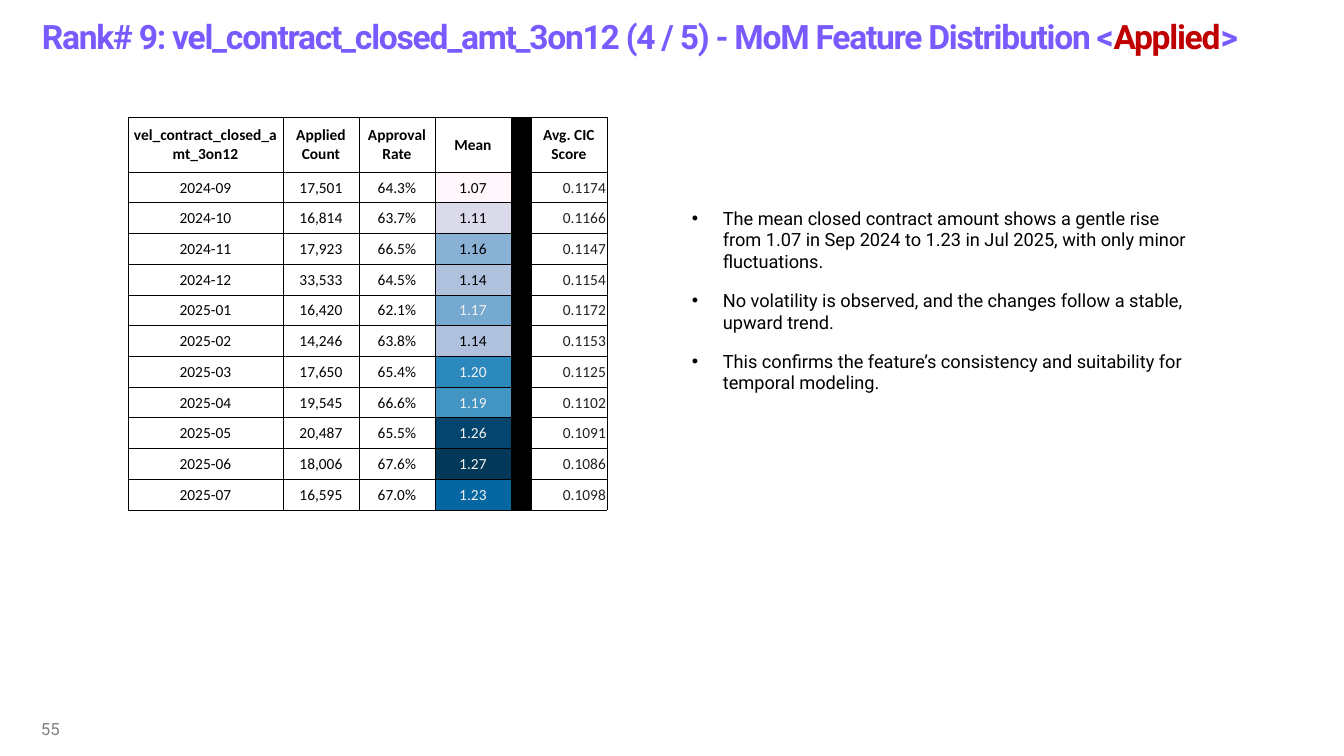
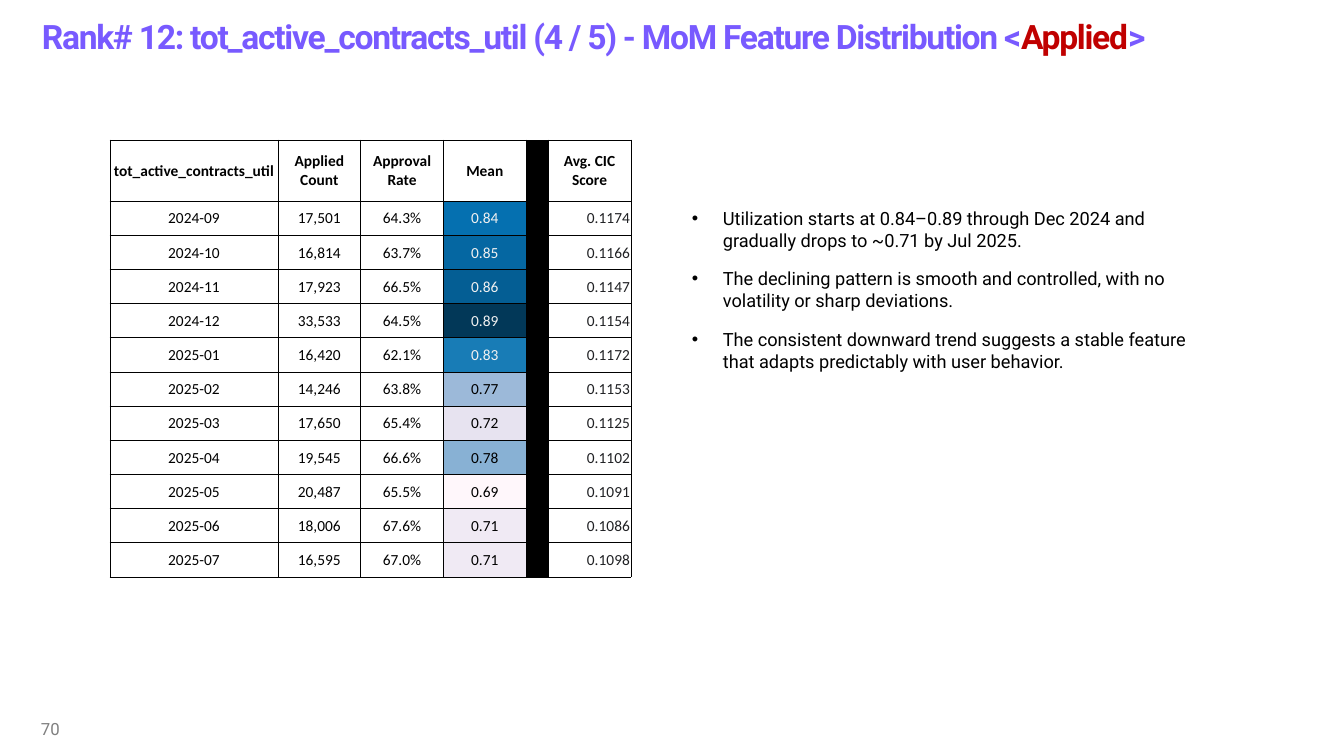
from pptx import Presentation
from pptx.dml.color import RGBColor
from pptx.enum.text import MSO_ANCHOR as ANCHOR, MSO_AUTO_SIZE as AUTO_SIZE, PP_ALIGN as ALIGN
from pptx.oxml.ns import qn
from pptx.util import Pt
from lxml.etree import SubElement

PX = 914400 / 100.8

PURPLE = RGBColor(0x78, 0x5A, 0xFF)
RED = RGBColor(0xC0, 0x00, 0x00)
GRAY = RGBColor(0x80, 0x80, 0x80)
BLACK = RGBColor(0x00, 0x00, 0x00)
WHITE = RGBColor(0xFF, 0xFF, 0xFF)
CHARCOAL = RGBColor(0x20, 0x21, 0x24)
PALE = RGBColor(0xF1, 0xF1, 0xF1)

TITLE_FONT = {"name": "Roboto", "size": Pt(24), "bold": True}
NUMBER_FONT = {"name": "Roboto", "size": Pt(12)}
BODY_FONT = {"name": "Roboto", "size": Pt(13)}
HEADER_FONT = {"name": "Calibri", "size": Pt(11), "bold": True}
CELL_FONT = {"name": "Calibri", "size": Pt(11), "bold": False}
MIDDLE_FRAME = {"word_wrap": True, "vertical_anchor": ANCHOR.MIDDLE}
BODY_FRAME = {"word_wrap": True, "auto_size": AUTO_SIZE.SHAPE_TO_FIT_TEXT}
CELL_FORMAT = {
    "vertical_anchor": ANCHOR.MIDDLE,
    "margin_left": round(PX),
    "margin_right": round(PX),
    "margin_top": round(PX),
    "margin_bottom": 0,
}
PLAIN_TABLE = {"first_row": False, "horz_banding": False}

HEADERS = ["Applied Count", "Approval Rate", "Mean", "", "Avg. CIC Score"]
MEAN, SPACER, SCORE = 3, 4, 5
MONTHS = [
    ("2024-09", "17,501", "64.3%", "0.1174"),
    ("2024-10", "16,814", "63.7%", "0.1166"),
    ("2024-11", "17,923", "66.5%", "0.1147"),
    ("2024-12", "33,533", "64.5%", "0.1154"),
    ("2025-01", "16,420", "62.1%", "0.1172"),
    ("2025-02", "14,246", "63.8%", "0.1153"),
    ("2025-03", "17,650", "65.4%", "0.1125"),
    ("2025-04", "19,545", "66.6%", "0.1102"),
    ("2025-05", "20,487", "65.5%", "0.1091"),
    ("2025-06", "18,006", "67.6%", "0.1086"),
    ("2025-07", "16,595", "67.0%", "0.1098"),
]

SLIDES = [
    {
        "rank": 9,
        "feature": "vel_contract_closed_amt_3on12",
        "number": "55",
        "table": (128, 117, 479, 393),
        "header_height": 55,
        "first_width": 155,
        "spacer_width": 20,
        "body_height": 199,
        "means": [
            ("1.07", RGBColor(0xFF, 0xF7, 0xFB)),
            ("1.11", RGBColor(0xDB, 0xDA, 0xEB)),
            ("1.16", RGBColor(0x88, 0xB1, 0xD4)),
            ("1.14", RGBColor(0xAF, 0xC1, 0xDD)),
            ("1.17", RGBColor(0x75, 0xA9, 0xCF)),
            ("1.14", RGBColor(0xAF, 0xC1, 0xDD)),
            ("1.20", RGBColor(0x2C, 0x89, 0xBD)),
            ("1.19", RGBColor(0x42, 0x95, 0xC3)),
            ("1.26", RGBColor(0x03, 0x45, 0x6C)),
            ("1.27", RGBColor(0x02, 0x38, 0x58)),
            ("1.23", RGBColor(0x05, 0x67, 0xA2)),
        ],
        "bullets": [
            "The mean closed contract amount shows a gentle rise from 1.07 in Sep 2024 to 1.23 in Jul 2025, "
            "with only minor fluctuations.",
            "No volatility is observed, and the changes follow a stable, upward trend.",
            "This confirms the feature’s consistency and suitability for temporal modeling.",
        ],
    },
    {
        "rank": 12,
        "feature": "tot_active_contracts_util",
        "number": "70",
        "table": (110, 140, 521, 437),
        "header_height": 61,
        "first_width": 168,
        "spacer_width": 22,
        "body_height": 176,
        "means": [
            ("0.84", RGBColor(0x05, 0x70, 0xB0)),
            ("0.85", RGBColor(0x05, 0x67, 0xA2)),
            ("0.86", RGBColor(0x04, 0x5E, 0x94)),
            ("0.89", RGBColor(0x02, 0x38, 0x58)),
            ("0.83", RGBColor(0x18, 0x7C, 0xB6)),
            ("0.77", RGBColor(0x9C, 0xB9, 0xD9)),
            ("0.72", RGBColor(0xE7, 0xE3, 0xF0)),
            ("0.78", RGBColor(0x88, 0xB1, 0xD4)),
            ("0.69", RGBColor(0xFF, 0xF7, 0xFB)),
            ("0.71", RGBColor(0xF0, 0xEA, 0xF4)),
            ("0.71", RGBColor(0xF0, 0xEA, 0xF4)),
        ],
        "bullets": [
            "Utilization starts at 0.84–0.89 through Dec 2024 and gradually drops to ~0.71 by Jul 2025.",
            "The declining pattern is smooth and controlled, with no volatility or sharp deviations.",
            "The consistent downward trend suggests a stable feature that adapts predictably with user behavior.",
        ],
    },
]


def set_format(target, values):
    for name, value in values.items():
        setattr(target, name, value)


def add_text(paragraph, text, font, color):
    run = paragraph.add_run()
    run.text = text
    set_format(run.font, font)
    run.font.color.rgb = color
    return run


presentation = Presentation()
presentation.slide_width = round(1344 * PX)
presentation.slide_height = round(756 * PX)

for content in SLIDES:
    slide = presentation.slides.add_slide(presentation.slide_layouts[6])

    boxes = []
    for area, frame_format in [
        ((32, 0, 1302, 73), MIDDLE_FRAME),
        ((31, 709, 302, 40), MIDDLE_FRAME),
        ((682, 202, 521, content["body_height"]), BODY_FRAME),
    ]:
        box = slide.shapes.add_textbox(*[round(length * PX) for length in area])
        set_format(box.text_frame, frame_format)
        boxes.append(box.text_frame)
    title, number, body = boxes

    heading = f"Rank# {content['rank']}: {content['feature']} (4 / 5) - MoM Feature Distribution <"
    for text, color in [(heading, PURPLE), ("Applied", RED), (">", PURPLE)]:
        run = add_text(title.paragraphs[0], text, TITLE_FONT, color)
        run.font._element.set("spc", "-90")

    add_text(number.paragraphs[0], content["number"], NUMBER_FONT, GRAY)

    for index, text in enumerate(content["bullets"]):
        paragraph = body.add_paragraph() if index else body.paragraphs[0]
        properties = paragraph._p.get_or_add_pPr()
        properties.set("marL", str(round(31 * PX)))
        properties.set("indent", str(round(-31 * PX)))
        SubElement(properties, qn("a:buFont"), typeface="Arial")
        SubElement(properties, qn("a:buChar"), char="•")
        paragraph.space_after = Pt(12)
        add_text(paragraph, text, BODY_FONT, BLACK)

    rows = [[content["feature"], *HEADERS]]
    for (month, count, rate, score), (mean, shade) in zip(MONTHS, content["means"]):
        rows.append([month, count, rate, mean, "", score])

    left, top, width, height = content["table"]
    table = slide.shapes.add_table(
        len(rows), len(rows[0]), *[round(length * PX) for length in content["table"]]
    ).table
    set_format(table, PLAIN_TABLE)

    first_width, spacer_width = content["first_width"], content["spacer_width"]
    value_width = (width - first_width - spacer_width) / 4
    for index, column in enumerate(table.columns):
        column.width = round({0: first_width, SPACER: spacer_width}.get(index, value_width) * PX)
    header_height = content["header_height"]
    month_height = (height - header_height) / len(MONTHS)
    for index, row in enumerate(table.rows):
        row.height = round((month_height if index else header_height) * PX)

    for row_index, values in enumerate(rows):
        for column_index, text in enumerate(values):
            cell = table.cell(row_index, column_index)
            set_format(cell, CELL_FORMAT)
            for side in ("lnL", "lnR", "lnT", "lnB"):
                line = SubElement(cell._tc.get_or_add_tcPr(), qn(f"a:{side}"), w=str(Pt(0.5)))
                line_fill = SubElement(line, qn("a:solidFill"))
                SubElement(line_fill, qn("a:srgbClr"), val=str(BLACK))

            fill, color, align = WHITE, BLACK, ALIGN.CENTER
            if column_index == SPACER:
                fill = BLACK
            elif row_index and column_index == MEAN:
                fill = content["means"][row_index - 1][1]
                color = PALE if fill[0] < 128 else BLACK
            elif row_index and column_index == SCORE:
                color, align = CHARCOAL, ALIGN.RIGHT
            cell.fill.solid()
            cell.fill.fore_color.rgb = fill

            paragraph = cell.text_frame.paragraphs[0]
            paragraph.alignment = align
            if text:
                add_text(paragraph, text, CELL_FONT if row_index else HEADER_FONT, color)
            else:
                SubElement(paragraph._p, qn("a:endParaRPr"), sz="1100")

presentation.save("out.pptx")
